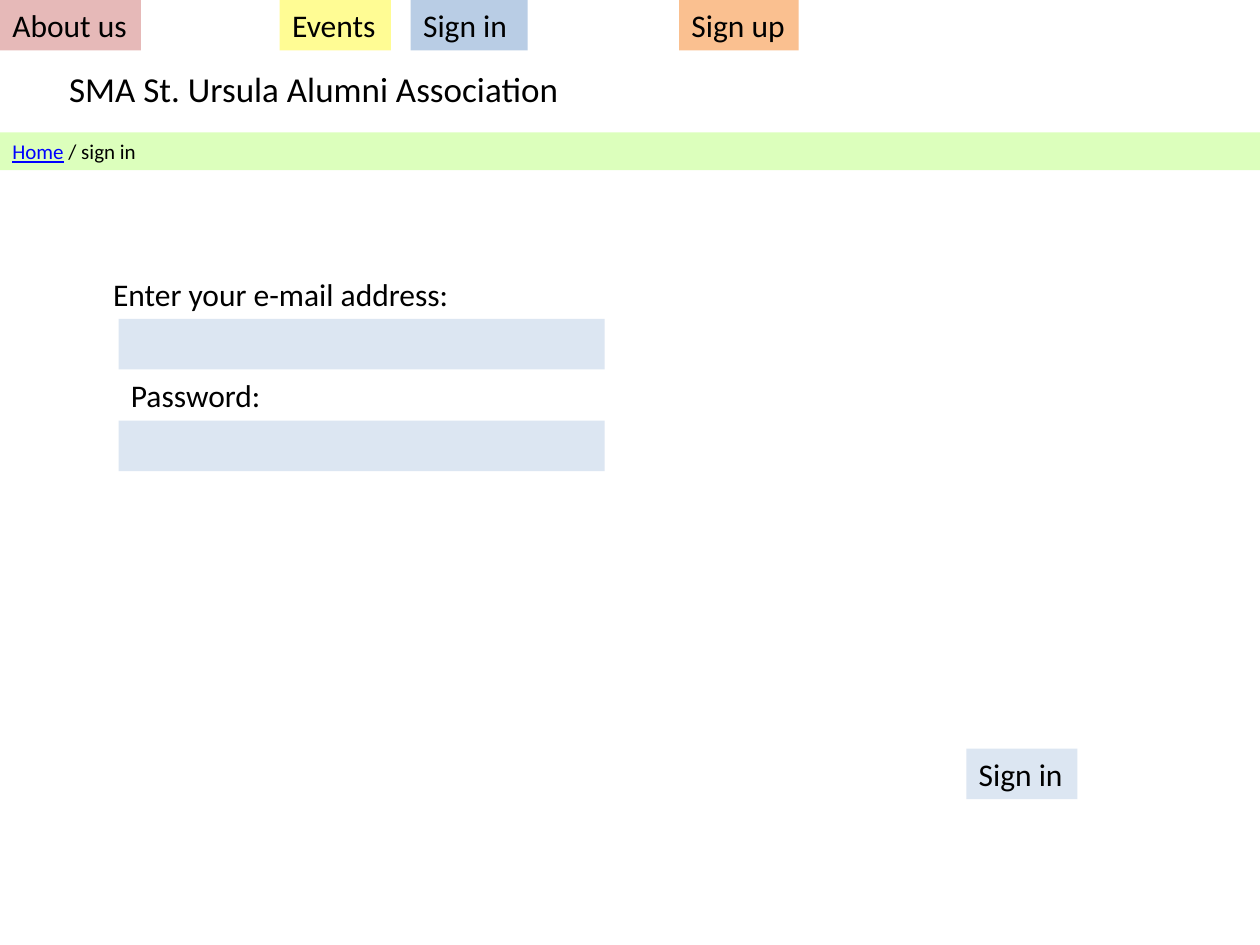
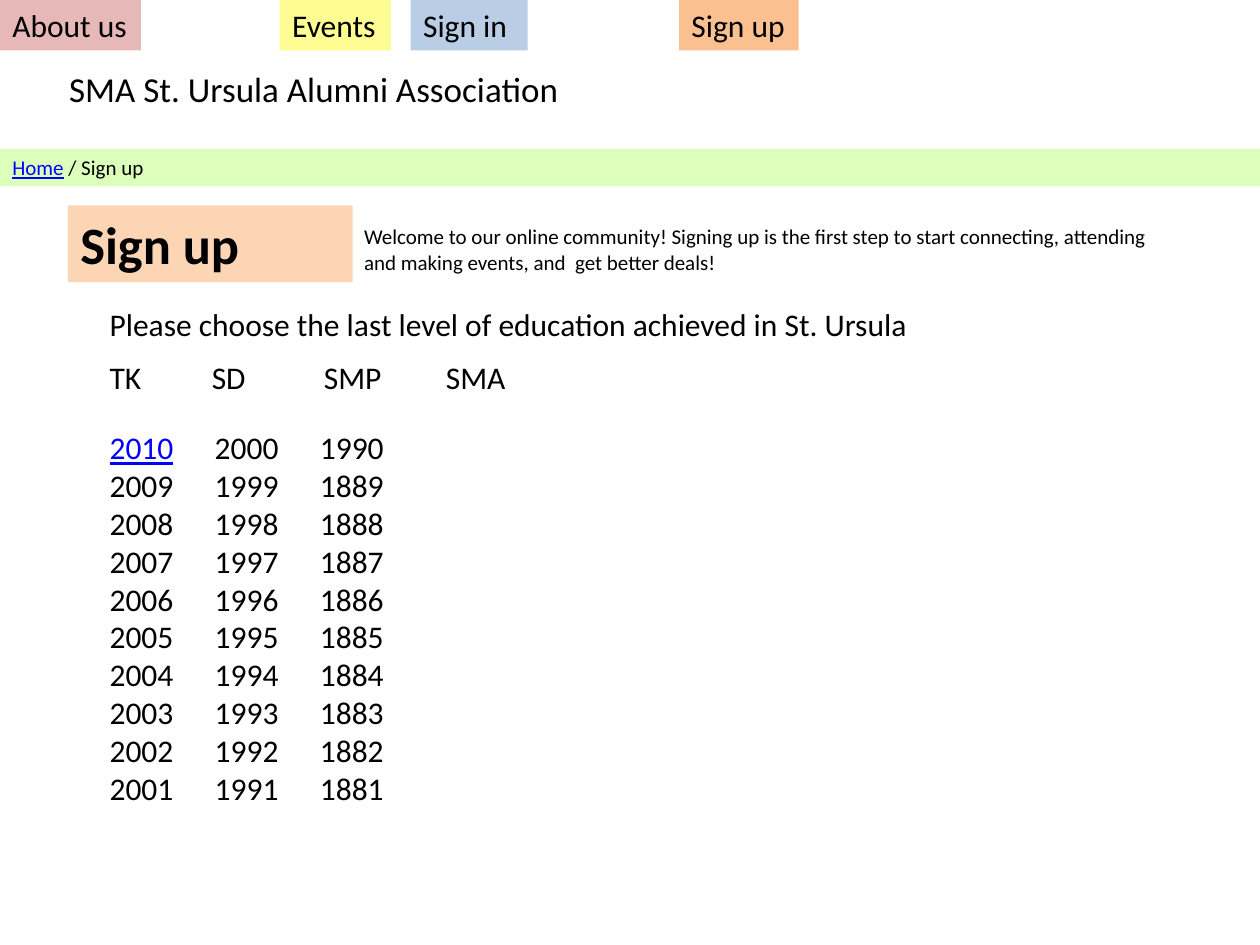
from lxml.etree import SubElement
from pptx import Presentation
from pptx.dml.color import RGBColor
from pptx.enum.shapes import MSO_SHAPE
from pptx.enum.text import MSO_ANCHOR, MSO_AUTO_SIZE, PP_ALIGN
from pptx.oxml.ns import qn
from pptx.util import Cm, Pt

FONT = "Calibri"
COLORS = {
    "text": "000000", "link": "0000FF", "band": "A3FF4F",
    "rose": "E6B9B8", "yellow": "FFFC94", "blue": "B9CDE5",
    "orange": "FAC090", "peach": "FCD5B5", "field": "DCE6F2",
}
NAV = [  # label, left, width, colour
    ("About us", 0, 2.84, "rose"),
    ("Events", 5.64, 2.24, "yellow"),
    ("Sign in", 8.28, 2.36, "blue"),
    ("Sign up", 13.69, 2.41, "orange"),
]
ROW = 1.02
WIDTH = 25.4


def color(name):
    return RGBColor.from_string(COLORS[name])


def add_run(para, text, size, bold=False, link=False):
    run = para.add_run()
    run.text = text
    font = run.font
    font.name, font.size, font.bold = FONT, Pt(size), bold
    font.underline = link
    font.color.rgb = color("link" if link else "text")


def set_frame(frame, wrap=True):
    frame.word_wrap = wrap
    frame.auto_size = MSO_AUTO_SIZE.NONE
    frame.vertical_anchor = MSO_ANCHOR.TOP
    frame.paragraphs[0].alignment = PP_ALIGN.LEFT
    return frame


def add_text(slide, left, top, width, height, lines, size=18, wrap=True, link=None):
    """Add one paragraph per line; the line equal to link is styled as a link."""
    box = slide.shapes.add_textbox(Cm(left), Cm(top), Cm(width), Cm(height))
    frame = set_frame(box.text_frame, wrap)
    for i, line in enumerate(lines):
        para = frame.add_paragraph() if i else frame.paragraphs[0]
        add_run(para, line, size, link=line == link)
    return frame


def add_block(slide, left, top, width, height, fill, text="", size=18, bold=False):
    block = slide.shapes.add_shape(
        MSO_SHAPE.RECTANGLE, Cm(left), Cm(top), Cm(width), Cm(height))
    block.shadow.inherit = False
    block.fill.solid()
    block.fill.fore_color.rgb = color(fill)
    block.line.fill.background()
    frame = set_frame(block.text_frame, wrap=False)
    if text:
        add_run(frame.paragraphs[0], text, size, bold)
    return block


def add_crumbs(slide, top, page):
    band = add_block(slide, 0, top, WIDTH, 0.76, "band")
    tint = band.fill._xPr.find(".//" + qn("a:srgbClr"))
    SubElement(tint, qn("a:alpha")).set("val", "38000")
    para = band.text_frame.paragraphs[0]
    add_run(para, "Home", 12, link=True)
    add_run(para, " / " + page, 12)


def set_tabs(para, stops):
    tabs = SubElement(para._p.get_or_add_pPr(), qn("a:tabLst"))
    for stop in stops:
        tab = SubElement(tabs, qn("a:tab"))
        tab.set("pos", str(Cm(stop)))
        tab.set("algn", "l")


def add_page(deck, crumb_top, page):
    """Add a slide with the title, menu and breadcrumb band."""
    slide = deck.slides.add_slide(deck.slide_layouts[5])
    title = slide.shapes.title
    title.left, title.top = Cm(1.14), Cm(1.24)
    title.width, title.height = Cm(10.72), Cm(1.12)
    frame = set_frame(title.text_frame)
    add_run(frame.paragraphs[0], "SMA St. Ursula Alumni Association", 20)
    for label, left, width, fill in NAV:
        add_block(slide, left, 0, width, ROW, fill, label)
    add_crumbs(slide, crumb_top, page)
    return slide


def add_field(slide, label, left, top):
    add_text(slide, left, top, 10.16, ROW, [label])
    add_block(slide, 2.39, top + ROW, 9.8, ROW, "field")


def build_login(deck):
    slide = add_page(deck, 2.67, "sign in")
    add_field(slide, "Enter your e-mail address:", 2.03, 5.41)
    add_field(slide, "Password:", 2.39, 7.46)
    add_block(slide, 19.48, 15.09, 2.24, ROW, "field", "Sign in")


def build_signup(deck):
    slide = add_page(deck, 3, "Sign up")
    add_block(slide, 1.37, 4.14, 5.74, 1.55, "peach", "Sign up", 30, True)
    add_text(slide, 7.09, 4.39, 16.38, 1.27, [
        "Welcome to our online community! Signing up is the first step to start "
        "connecting, attending and making events, and  get better deals!"], 12)
    left = 1.96
    add_text(slide, left, 6.02, 16.76, ROW, [
        "Please choose the last level of education achieved in St. Ursula"], wrap=False)
    levels = add_text(slide, left, 7.09, 10, ROW, ["TK\tSD\tSMP\tSMA"])
    set_tabs(levels.paragraphs[0], (2.06, 4.32, 6.78))
    years = [range(2010, 2000, -1), range(2000, 1990, -1),
             [1990, *range(1889, 1880, -1)]]
    for i, column in enumerate(years):
        add_text(slide, left + i * 2.12, 8.51, 1.8, 7.95,
                 [str(year) for year in column], wrap=False, link="2010")


def main():
    deck = Presentation()
    deck.slide_width, deck.slide_height = Cm(WIDTH), Cm(19.05)
    build_login(deck)
    build_signup(deck)
    deck.save("out.pptx")


if __name__ == "__main__":
    main()
